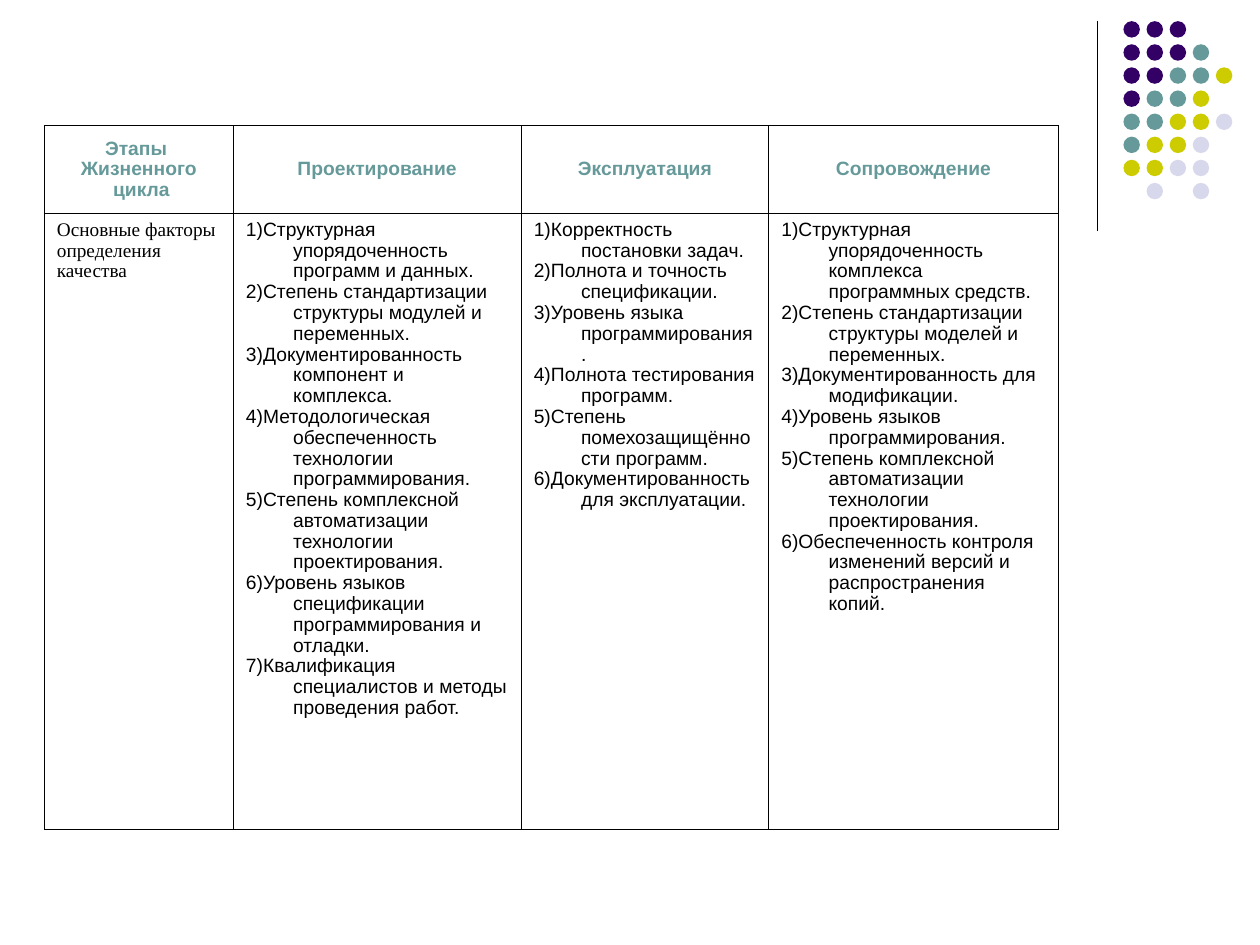
import pptx
import pptx.dml.color
import pptx.enum.shapes
import pptx.enum.text
import pptx.oxml
import pptx.oxml.ns
import pptx.util

Pt = pptx.util.Pt
Align = pptx.enum.text.PP_ALIGN
Anchor = pptx.enum.text.MSO_ANCHOR

COLORS = {
    "ink": "000000",
    "plum": "330066",
    "teal": "669999",
    "lime": "CCCC00",
    "mist": "D8D8EC",
}

# One letter per dot, named by the first letter of its colour
DOTS = ["ppp", "pppt", "ppttl", "pttl", "ttllm", "tllm", "llmm", " m m"]

HEADS = [
    ["Этапы ", "Жизненного", " цикла"],
    ["Проектирование"],
    ["Эксплуатация"],
    ["Сопровождение"],
]
LABEL = "Основные факторы определения качества"
LISTS = [
    [
        "1)Структурная упорядоченность программ и данных.",
        "2)Степень стандартизации структуры модулей и переменных.",
        "3)Документированность компонент и комплекса.",
        "4)Методологическая обеспеченность технологии программирования.",
        "5)Степень комплексной автоматизации технологии проектирования.",
        "6)Уровень языков спецификации программирования и отладки.",
        "7)Квалификация специалистов и методы проведения работ.",
    ],
    [
        "1)Корректность постановки задач.",
        "2)Полнота и точность спецификации.",
        "3)Уровень языка программирования.",
        "4)Полнота тестирования программ.",
        "5)Степень помехозащищённости программ.",
        "6)Документированность для эксплуатации.",
    ],
    [
        "1)Структурная упорядоченность комплекса программных средств.",
        "2)Степень стандартизации структуры моделей и переменных.",
        "3)Документированность для модификации.",
        "4)Уровень языков программирования.",
        "5)Степень комплексной автоматизации технологии проектирования.",
        "6)Обеспеченность контроля изменений версий и распространения копий.",
    ],
]


def tint(name):
    return pptx.dml.color.RGBColor.from_string(COLORS[name])


class Deck:
    size = 11
    hang = 27
    pitch = 0.97
    rule = 0.45

    def __init__(self, slide):
        self.slide = slide

    def line(self, x, top, end):
        kind = pptx.enum.shapes.MSO_CONNECTOR.STRAIGHT
        line = self.slide.shapes.add_connector(kind, Pt(x), Pt(top), Pt(x), Pt(end))
        line.line.color.rgb = tint("ink")
        line.line.width = Pt(0.75)
        line._element.spPr.append(pptx.oxml.parse_xml(
            f'<a:effectLst {pptx.oxml.ns.nsdecls("a")}/>'))

    def dot(self, x, y, side, color):
        dot = self.slide.shapes.add_shape(
            pptx.enum.shapes.MSO_SHAPE.OVAL, Pt(x), Pt(y), Pt(side), Pt(side))
        dot.shadow.inherit = False
        dot.fill.solid()
        dot.fill.fore_color.rgb = tint(color)
        dot.line.fill.background()

    def table(self, x, y, cols, rows):
        table = self.slide.shapes.add_table(
            len(rows), len(cols), Pt(x), Pt(y), Pt(sum(cols)), Pt(sum(rows))).table
        table.first_row = table.horz_banding = False
        for col, wide in zip(table.columns, cols):
            col.width = Pt(wide)
        for row, high in zip(table.rows, rows):
            row.height = Pt(high)
        return table

    def edge(self, cell):
        props = cell._tc.get_or_add_tcPr()
        for side in "LRTB":
            props.append(pptx.oxml.parse_xml(
                f'<a:ln{side} {pptx.oxml.ns.nsdecls("a")} w="{Pt(self.rule)}">'
                f'<a:solidFill><a:srgbClr val="{COLORS["ink"]}"/></a:solidFill>'
                f'</a:ln{side}>'))

    def cell(self, cell, texts, font="Arial", color="ink", head=False, hang=True):
        self.edge(cell)
        cell.fill.background()
        cell.vertical_anchor = Anchor.MIDDLE if head else Anchor.TOP
        cell.text_frame.text = "\n".join(texts)
        for para in cell.text_frame.paragraphs:
            para.alignment = Align.CENTER if head else Align.LEFT
            para.line_spacing = self.pitch
            if hang:
                props = para._p.get_or_add_pPr()
                props.set("marL", str(Pt(self.hang)))
                props.set("indent", str(-Pt(self.hang)))
            for run in para.runs:
                run.font.name = font
                run.font.size = Pt(self.size)
                run.font.bold = head
                run.font.color.rgb = tint(color)


def main():
    show = pptx.Presentation()
    show.slide_width, show.slide_height = Pt(720), Pt(540)
    deck = Deck(show.slides.add_slide(show.slide_layouts[6]))

    # Corner ornament: rule and dot grid
    deck.line(627, 12, 132)
    names = {name[0]: name for name in COLORS}
    for row, marks in enumerate(DOTS):
        for col, mark in enumerate(marks):
            if mark != " ":
                deck.dot(642 + 13.2 * col, 12.1 + 13.2 * row, 9.4, names[mark])

    # Quality factors by life cycle stage
    table = deck.table(25.3, 71.8, [108, 164.5, 141.5, 165.5], [50.2, 352])
    for col, head in enumerate(HEADS):
        deck.cell(table.cell(0, col), head, color="teal", head=True)
    deck.cell(table.cell(1, 0), [LABEL], font="Times New Roman", hang=False)
    for col, items in enumerate(LISTS, 1):
        deck.cell(table.cell(1, col), items)

    show.save("out.pptx")


if __name__ == "__main__":
    main()
